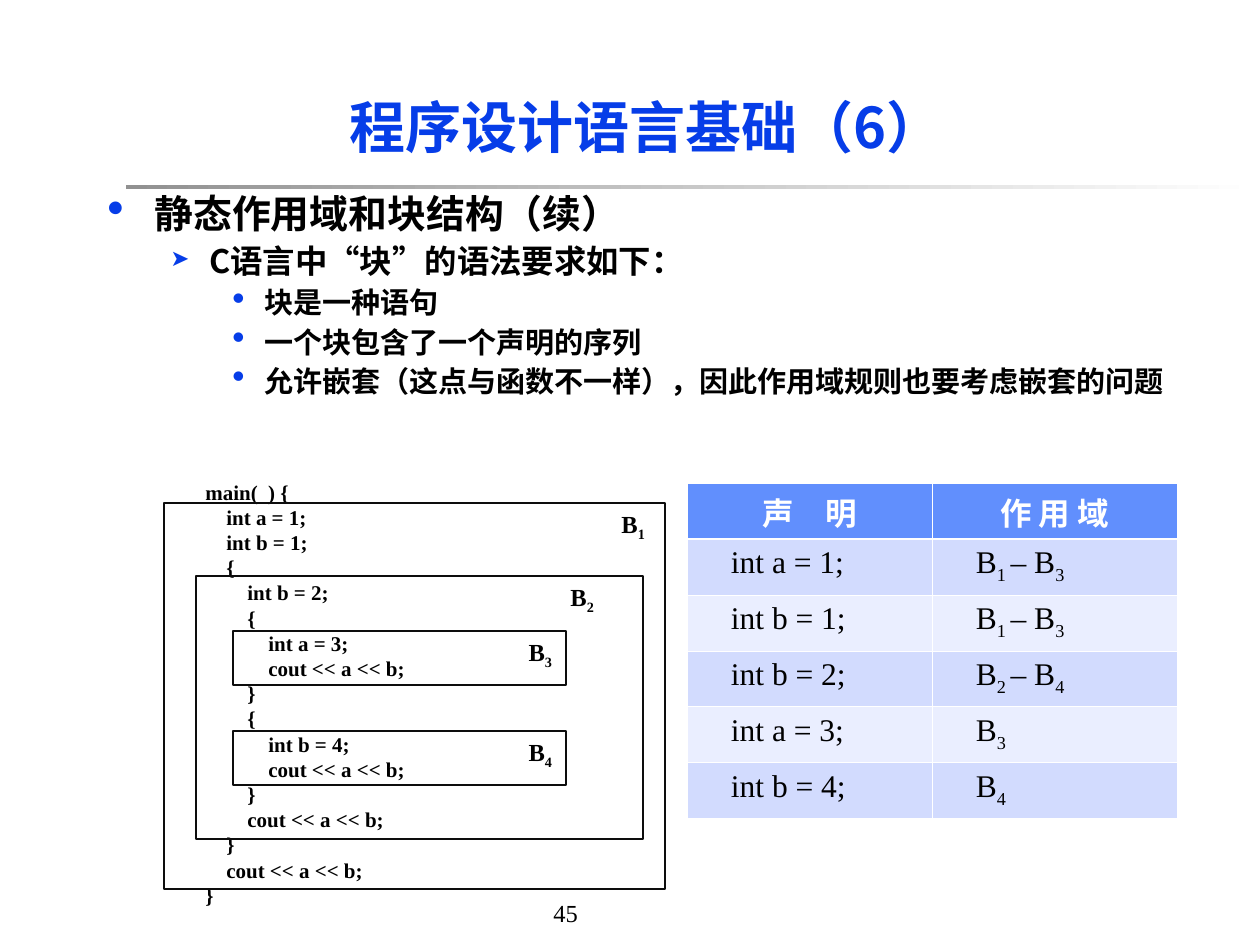
"""Build the slide on static scope and block structure in C."""
import pptx
import pptx.dml.color
import pptx.enum.shapes
import pptx.enum.text
import pptx.oxml
import pptx.oxml.ns
import pptx.util

BLUE = pptx.dml.color.RGBColor(0x06, 0x3D, 0xE8)
BLACK = pptx.dml.color.RGBColor(0, 0, 0)
WHITE = pptx.dml.color.RGBColor(0xFF, 0xFF, 0xFF)
GREY = pptx.dml.color.RGBColor(0x91, 0x91, 0x91)
OUTLINE = pptx.dml.color.RGBColor(0x0D, 0x0D, 0x0D)
HEADER = pptx.dml.color.RGBColor(0x61, 0x8F, 0xFD)
BANDS = [pptx.dml.color.RGBColor(0xEA, 0xEE, 0xFF), pptx.dml.color.RGBColor(0xD2, 0xDB, 0xFE)]
SANS = "Noto Sans CJK SC"
SERIF = "Times New Roman"
NAMESPACE = pptx.oxml.ns.nsdecls("a")
ALIGN = pptx.enum.text.PP_ALIGN
RECTANGLE = pptx.enum.shapes.MSO_SHAPE.RECTANGLE


def px(*lengths):
    """Turn pixels into EMU."""
    return [round(length * 9144000 / 1260) for length in lengths]


def write(frame, text, size, color=BLACK, name=SERIF, bold=False, **layout):
    """Add a paragraph in which every second part between underscores is a subscript."""
    para = frame.add_paragraph() if frame.paragraphs[0].runs else frame.paragraphs[0]
    for key, value in layout.items():
        setattr(para, key, value)
    for index, part in enumerate(text.split("_")):
        span = para.add_run()
        span.text = part
        for key, value in {"size": pptx.util.Pt(size), "name": name, "bold": bold}.items():
            setattr(span.font, key, value)
        span.font.color.rgb = color
        properties = span.font._element
        properties.append(pptx.oxml.parse_xml(f'<a:ea {NAMESPACE} typeface="{SANS}"/>'))
        if index % 2:
            properties.set("baseline", "-25000")
    return para


deck = pptx.Presentation()
deck.slide_width, deck.slide_height = px(1260, 945)
page = deck.slides.add_slide(deck.slide_layouts[6])

number = page.shapes.add_textbox(*px(541, 892, 128, 42))
write(number.text_frame, "45", 14)

rule = page.shapes.add_shape(RECTANGLE, *px(126, 185, 1134, 4))
rule.shadow.inherit = False
rule.line.fill.background()
rule.fill.gradient()
rule.fill.gradient_angle = 0
for stop, color, position in zip(rule.fill.gradient_stops, [GREY, WHITE], [0, 1]):
    stop.color.rgb = color
    stop.position = position

title = page.shapes.add_textbox(*px(126, 63, 1040, 126))
title.text_frame.word_wrap = True
title.text_frame.vertical_anchor = pptx.enum.text.MSO_ANCHOR.MIDDLE
write(title.text_frame, "程序设计语言基础（6）", 32, BLUE, SANS, True, alignment=ALIGN.CENTER)

body = page.shapes.add_textbox(*px(95, 189, 1081, 284))
body.text_frame.word_wrap = True
levels = [
    {"size": 22.2, "before": 6, "left": 47, "hang": 47, "mark": "•", "scale": 125},
    {"size": 18.5, "before": 5, "left": 102, "hang": 39, "mark": "➤", "scale": 70},
    {"size": 16.6, "before": 4.5, "left": 157, "hang": 32, "mark": "•", "scale": 125},
]
points = [
    (0, "静态作用域和块结构（续）"),
    (1, "C语言中“块”的语法要求如下："),
    (2, "块是一种语句"),
    (2, "一个块包含了一个声明的序列"),
    (2, "允许嵌套（这点与函数不一样），因此作用域规则也要考虑嵌套的问题"),
]
for depth, text in points:
    level = levels[depth]
    para = write(body.text_frame, text, level["size"], BLACK, SANS, True, level=depth,
                 line_spacing=0.9, space_before=pptx.util.Pt(level["before"]))
    properties = para._p.get_or_add_pPr()
    left, hang = px(level["left"], level["hang"])
    properties.set("marL", str(left))
    properties.set("indent", str(-hang))
    for bullet in [f'<a:buClr {NAMESPACE}><a:srgbClr val="{BLUE}"/></a:buClr>',
                   f'<a:buSzPct {NAMESPACE} val="{level["scale"] * 1000}"/>',
                   f'<a:buChar {NAMESPACE} char="{level["mark"]}"/>']:
        properties.append(pptx.oxml.parse_xml(bullet))

rows = [
    ("声　明", "作 用 域"),
    ("int a = 1;", "B_1 _– B_3"),
    ("int b = 1;", "B_1 _– B_3"),
    ("int b = 2;", "B_2 _– B_4"),
    ("int a = 3;", "B_3"),
    ("int b = 4;", "B_4"),
]
table = page.shapes.add_table(len(rows), 2, *px(687, 483, 490, 336)).table
for row, texts in enumerate(rows):
    table.rows[row].height = px(56)[0]
    for column, text in enumerate(texts):
        cell = table.cell(row, column)
        cell.fill.solid()
        if row == 0:
            cell.fill.fore_color.rgb = HEADER
            write(cell.text_frame, text, 18, WHITE, bold=True, alignment=ALIGN.CENTER)
        else:
            cell.fill.fore_color.rgb = BANDS[row % 2]
            cell.margin_left = px(44)[0]
            write(cell.text_frame, text, 18)
        widths = {"L": 0.45, "R": 0.45, "T": 1.47 if row == 1 else 0.45, "B": 1.47 if row == 0 else 0.45}
        for index, (side, width) in enumerate(widths.items()):
            cell._tc.get_or_add_tcPr().insert(index, pptx.oxml.parse_xml(
                f'<a:ln{side} {NAMESPACE} w="{pptx.util.Pt(width)}"><a:solidFill>'
                f'<a:srgbClr val="{WHITE}"/></a:solidFill></a:ln{side}>'))

program = page.shapes.add_group_shape()
code = program.shapes.add_textbox(*px(193, 473, 456, 441))
code.text_frame.word_wrap = True
lines = [
    (0, "main(  ) {"), (1, "int a = 1;"), (1, "int b = 1;"), (1, "{"),
    (2, "int b = 2;"), (2, "{"), (3, "int a = 3;"), (3, "cout << a << b;"), (2, "}"),
    (2, "{"), (3, "int b = 4;"), (3, "cout << a << b;"), (2, "}"),
    (2, "cout << a << b;"), (1, "}"), (1, "cout << a << b;"), (0, "}"),
]
for depth, text in lines:
    para = write(code.text_frame, text, 12, bold=True)
    para._p.get_or_add_pPr().set("marL", str(px(21 * depth)[0]))

blocks = [
    ("B_1", 164, 503, 501, 386, 20),
    ("B_2", 196, 576, 447, 263, 49),
    ("B_3", 233, 631, 333, 54, 14),
    ("B_4", 233, 731, 333, 54, 14),
]
for label, left, top, width, height, gap in blocks:
    block = program.shapes.add_shape(RECTANGLE, *px(left, top, width, height))
    block.shadow.inherit = False
    block.fill.background()
    block.line.color.rgb = OUTLINE
    block.line.width = pptx.util.Pt(0.75)
    block.text_frame.vertical_anchor = pptx.enum.text.MSO_ANCHOR.TOP
    block.text_frame.margin_right = px(gap)[0]
    write(block.text_frame, label, 14, bold=True, alignment=ALIGN.RIGHT)

deck.save("out.pptx")
